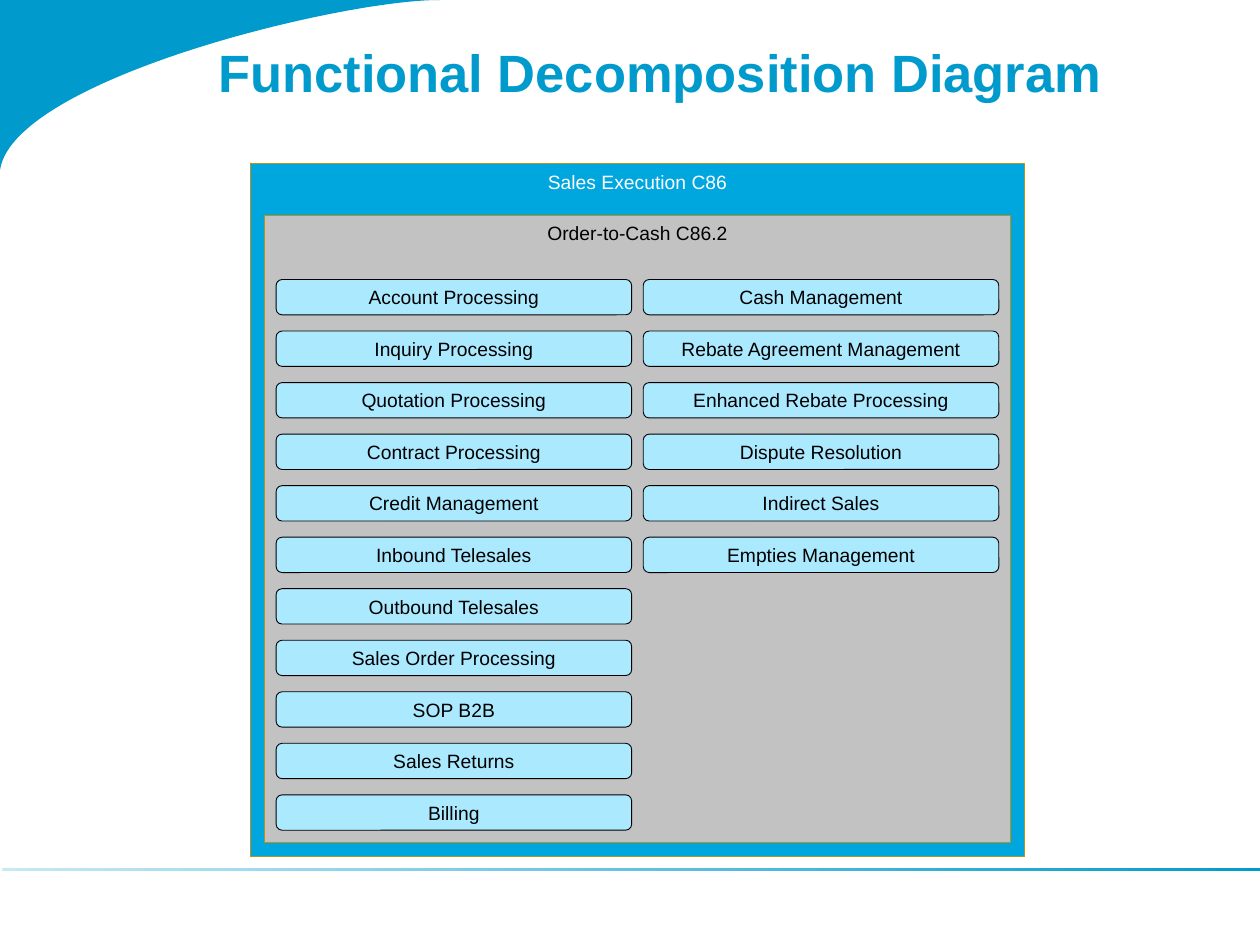
import pptx
import pptx.dml.color
import pptx.enum.shapes
import pptx.enum.text
import pptx.util

Pt = pptx.util.Pt
SHAPES = pptx.enum.shapes.MSO_SHAPE
ANCHORS = pptx.enum.text.MSO_ANCHOR

FUNCTIONS = [
    ["Account Processing", "Inquiry Processing", "Quotation Processing",
     "Contract Processing", "Credit Management", "Inbound Telesales",
     "Outbound Telesales", "Sales Order Processing", "SOP B2B",
     "Sales Returns", "Billing"],
    ["Cash Management", "Rebate Agreement Management",
     "Enhanced Rebate Processing", "Dispute Resolution", "Indirect Sales",
     "Empties Management"],
]


def color(value):
    """Return the colour for a hex string."""
    return pptx.dml.color.RGBColor.from_string(value)


def set_text(shape, text, size, ink, bold=False):
    """Write one line of Arial text into a shape and return its paragraph."""
    shape.text_frame.word_wrap = True
    para = shape.text_frame.paragraphs[0]
    para.text = text
    para.font.name = "Arial"
    para.font.size = Pt(size)
    para.font.bold = bold
    para.font.color.rgb = color(ink)
    return para


def add_block(shapes, kind, box, text, fill, line, ink="000000", anchor=ANCHORS.TOP):
    """Add an outlined block with a centred label."""
    block = shapes.add_shape(kind, *map(Pt, box))
    block.shadow.inherit = False
    block.fill.solid()
    block.fill.fore_color.rgb = color(fill)
    block.line.color.rgb = color(line)
    block.line.width = Pt(0.5)
    block.text_frame.vertical_anchor = anchor
    set_text(block, text, 11, ink).alignment = pptx.enum.text.PP_ALIGN.CENTER
    return block


def add_corner(page, box, steps=60):
    """Fill the corner of the box above a sweeping Bézier curve."""
    left, top, width, height = box
    controls = [(0, 1), (0.03, 0.47), (0.77, 0), (1, 0)]
    points = []
    for step in range(steps + 1):
        t = step / steps
        weights = [(1 - t) ** 3, 3 * t * (1 - t) ** 2, 3 * t ** 2 * (1 - t), t ** 3]
        x, y = (sum(w * c[axis] for w, c in zip(weights, controls)) for axis in (0, 1))
        points.append((Pt(left + x * width), Pt(top + y * height)))
    builder = page.shapes.build_freeform(Pt(left), Pt(top))
    builder.add_line_segments(points, close=True)
    corner = builder.convert_to_shape()
    corner.shadow.inherit = False
    corner.fill.solid()
    corner.fill.fore_color.rgb = color("009BCC")
    corner.line.fill.background()


def add_footer_rule(page, box):
    """Add the thin rule that darkens from left to right."""
    rule = page.shapes.add_shape(SHAPES.RECTANGLE, *map(Pt, box))
    rule.shadow.inherit = False
    rule.line.fill.background()
    rule.fill.gradient()
    rule.fill.gradient_angle = 0
    for stop, shade in zip(rule.fill.gradient_stops, ("C6E9F4", "009BCC")):
        stop.color.rgb = color(shade)


def add_title(page, box):
    """Add the slide title."""
    title = page.shapes.add_textbox(*map(Pt, box))
    frame = title.text_frame
    frame.margin_left = frame.margin_right = Pt(6)
    frame.margin_top, frame.margin_bottom = Pt(23), Pt(3)
    set_text(title, "Functional Decomposition Diagram", 30, "009BCC", bold=True)


def add_decomposition(page, box):
    """Add the nested panels and the columns of functions inside them."""
    left, top, width, height = box
    shapes = page.shapes.add_group_shape().shapes
    add_block(shapes, SHAPES.RECTANGLE, box, "Sales Execution C86",
              "00A6DE", "BA9213", "FFFFFF")
    border, header = 8, 29.6
    inner_left, inner_top = left + border, top + header
    inner_width = width - 2 * border
    add_block(shapes, SHAPES.RECTANGLE,
              (inner_left, inner_top, inner_width, height - header - border),
              "Order-to-Cash C86.2", "C3C2C2", "BA9213")
    gap = 6.6
    column_width = (inner_width - 3 * gap) / 2
    for column, names in enumerate(FUNCTIONS):
        x = inner_left + gap + column * (column_width + gap)
        for row, name in enumerate(names):
            y = inner_top + 36.5 + row * 29.45
            block = add_block(shapes, SHAPES.ROUNDED_RECTANGLE,
                              (x, y, column_width, 20.2), name,
                              "ABE9FF", "000000", anchor=ANCHORS.MIDDLE)
            block.adjustments[0] = 0.17


def main():
    """Build the slide and save the deck."""
    deck = pptx.Presentation()
    deck.slide_width, deck.slide_height = Pt(720), Pt(540)
    page = deck.slides.add_slide(deck.slide_layouts[6])
    add_corner(page, (0, 0, 251.3, 97.2))
    add_footer_rule(page, (1.4, 496, 722.9, 1.5))
    add_title(page, (118.8, 0, 588.2, 105.8))
    add_decomposition(page, (143.2, 93.6, 442.2, 396))
    deck.save("out.pptx")


if __name__ == "__main__":
    main()
